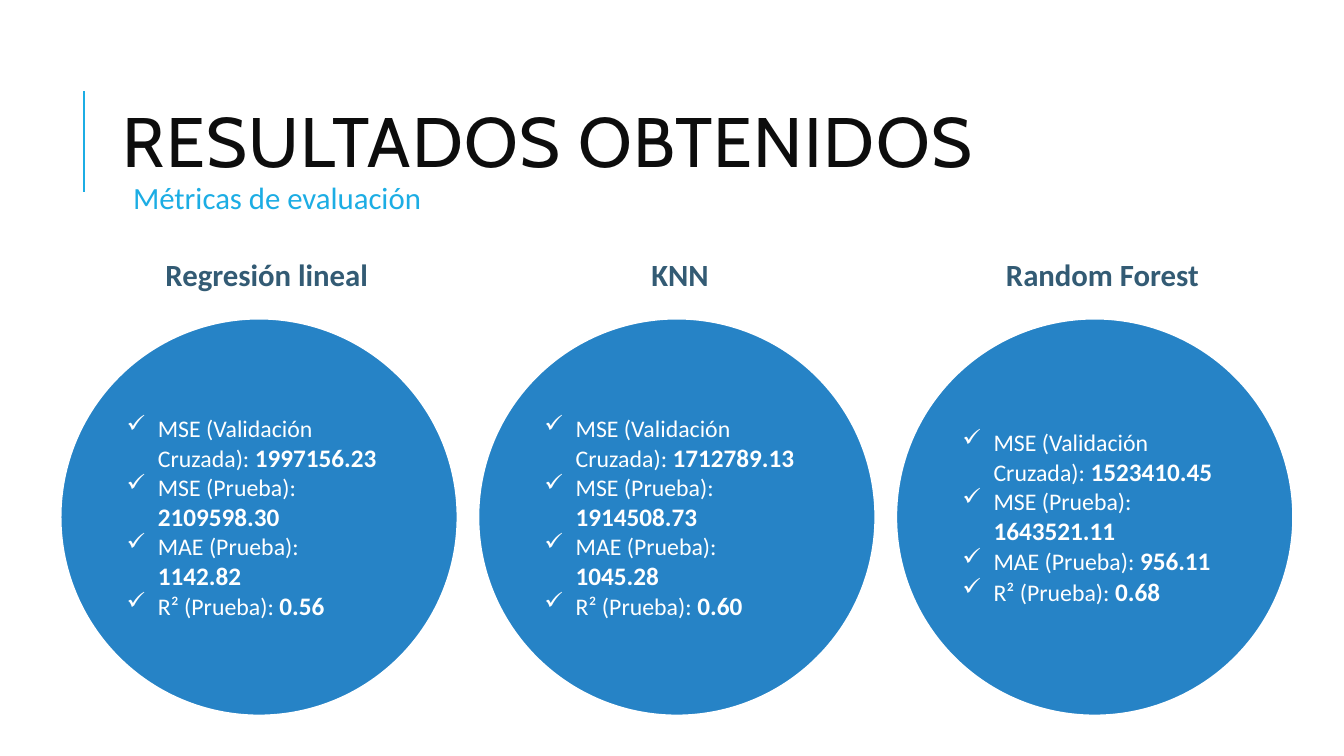
"""Build the slide comparing the evaluation metrics of three regression models."""
import pptx
import pptx.util
import pptx.dml.color
import pptx.enum.shapes
import pptx.enum.text
import pptx.oxml.ns
import lxml.etree

Inches, Pt = pptx.util.Inches, pptx.util.Pt
RGBColor = pptx.dml.color.RGBColor
PP_ALIGN = pptx.enum.text.PP_ALIGN
MIDDLE = pptx.enum.text.MSO_ANCHOR.MIDDLE
qn = pptx.oxml.ns.qn

CYAN = RGBColor(0x1C, 0xAD, 0xE4)
BLUE = RGBColor(0x26, 0x83, 0xC6)
SLATE = RGBColor(0x33, 0x5B, 0x74)
INK = RGBColor(0x0D, 0x0D, 0x0D)
WHITE = RGBColor(0xFF, 0xFF, 0xFF)

COLUMN_PITCH = 4.145
CIRCLE_LEFT, CIRCLE_TOP, CIRCLE_SIZE = 0.6, 3.16, 3.94
METRICS = ["MSE (Validación Cruzada): ", "MSE (Prueba): ", "MAE (Prueba): ", "R² (Prueba): "]
MODELS = [
    ("Regresión lineal", 0.36, ["1997156.23", "2109598.30", "1142.82", "0.56"]),
    ("KNN", 4.46, ["1712789.13", "1914508.73", "1045.28", "0.60"]),
    ("Random Forest", 8.65, ["1523410.45", "1643521.11", "956.11", "0.68"]),
]


def add_span(para, text, **font_format):
    """Add a run to a paragraph and format its font."""
    span = para.add_run()
    span.text = text
    span.font.color.rgb = font_format.pop("color")
    for name, value in font_format.items():
        setattr(span.font, name, value)
    return span


def set_bullet(para, mark, indent):
    """Give a paragraph a bullet with a hanging indent."""
    properties = para._p.get_or_add_pPr()
    properties.set("marL", str(Inches(indent)))
    properties.set("indent", str(-Inches(indent)))
    lxml.etree.SubElement(properties, qn("a:buChar")).set("char", mark)


deck = pptx.Presentation()
deck.slide_width, deck.slide_height = Inches(13.333), Inches(7.5)
page = deck.slides.add_slide(deck.slide_layouts[5])

rule = page.shapes.add_connector(
    pptx.enum.shapes.MSO_CONNECTOR.STRAIGHT,
    Inches(0.83), Inches(1.9), Inches(0.83), Inches(0.9))
rule.line.color.rgb = CYAN
rule.line.width = Pt(1.5)
lxml.etree.SubElement(rule._element.spPr, qn("a:effectLst"))

title = page.shapes.title
title_place = {"left": 1.12, "top": 0.64, "width": 10.63, "height": 1.64}
for name, value in title_place.items():
    setattr(title, name, Inches(value))
title.text_frame.vertical_anchor = MIDDLE
title.text_frame.word_wrap = True
para = title.text_frame.paragraphs[0]
para.alignment = PP_ALIGN.LEFT
para.line_spacing = 0.8
span = add_span(para, "RESULTADOS OBTENIDOS", name="Cabin", size=Pt(50), color=INK)
span._r.get_or_add_rPr().set("spc", "100")

for column, (model, heading_left, scores) in enumerate(MODELS):
    circle = page.shapes.add_shape(
        pptx.enum.shapes.MSO_SHAPE.OVAL,
        Inches(CIRCLE_LEFT + column * COLUMN_PITCH), Inches(CIRCLE_TOP),
        Inches(CIRCLE_SIZE), Inches(CIRCLE_SIZE))
    circle.shadow.inherit = False
    circle.fill.solid()
    circle.fill.fore_color.rgb = BLUE
    circle.line.color.rgb = WHITE
    circle.line.width = Pt(1.5)
    frame = circle.text_frame
    frame_format = {"word_wrap": True, "vertical_anchor": MIDDLE,
                    "margin_left": Inches(0.08), "margin_right": Inches(0.16)}
    for name, value in frame_format.items():
        setattr(frame, name, value)
    for row, (metric, score) in enumerate(zip(METRICS, scores)):
        para = frame.add_paragraph() if row else frame.paragraphs[0]
        para.alignment = PP_ALIGN.LEFT
        set_bullet(para, "✓", 0.31)
        add_span(para, metric, name="Calibri", size=Pt(17), color=WHITE)
        add_span(para, score, name="Calibri", size=Pt(18), bold=True, color=WHITE)

labels = [(model, left, 2.53, 4.42, 0.56, PP_ALIGN.CENTER, True, SLATE)
          for model, left, scores in MODELS]
labels.append(("Métricas de evaluación", 1.07, 1.77, 4.8, 0.51, PP_ALIGN.LEFT, False, CYAN))
for text, left, top, width, height, alignment, bold, color in labels:
    box = page.shapes.add_textbox(Inches(left), Inches(top), Inches(width), Inches(height))
    box.text_frame.word_wrap = True
    para = box.text_frame.paragraphs[0]
    para_format = {"alignment": alignment, "line_spacing": 0.9,
                   "space_before": Pt(12), "space_after": Pt(2)}
    for name, value in para_format.items():
        setattr(para, name, value)
    set_bullet(para, " ", 0.1)
    add_span(para, text, name="Calibri", size=Pt(22), bold=bold, color=color)

deck.save("out.pptx")
